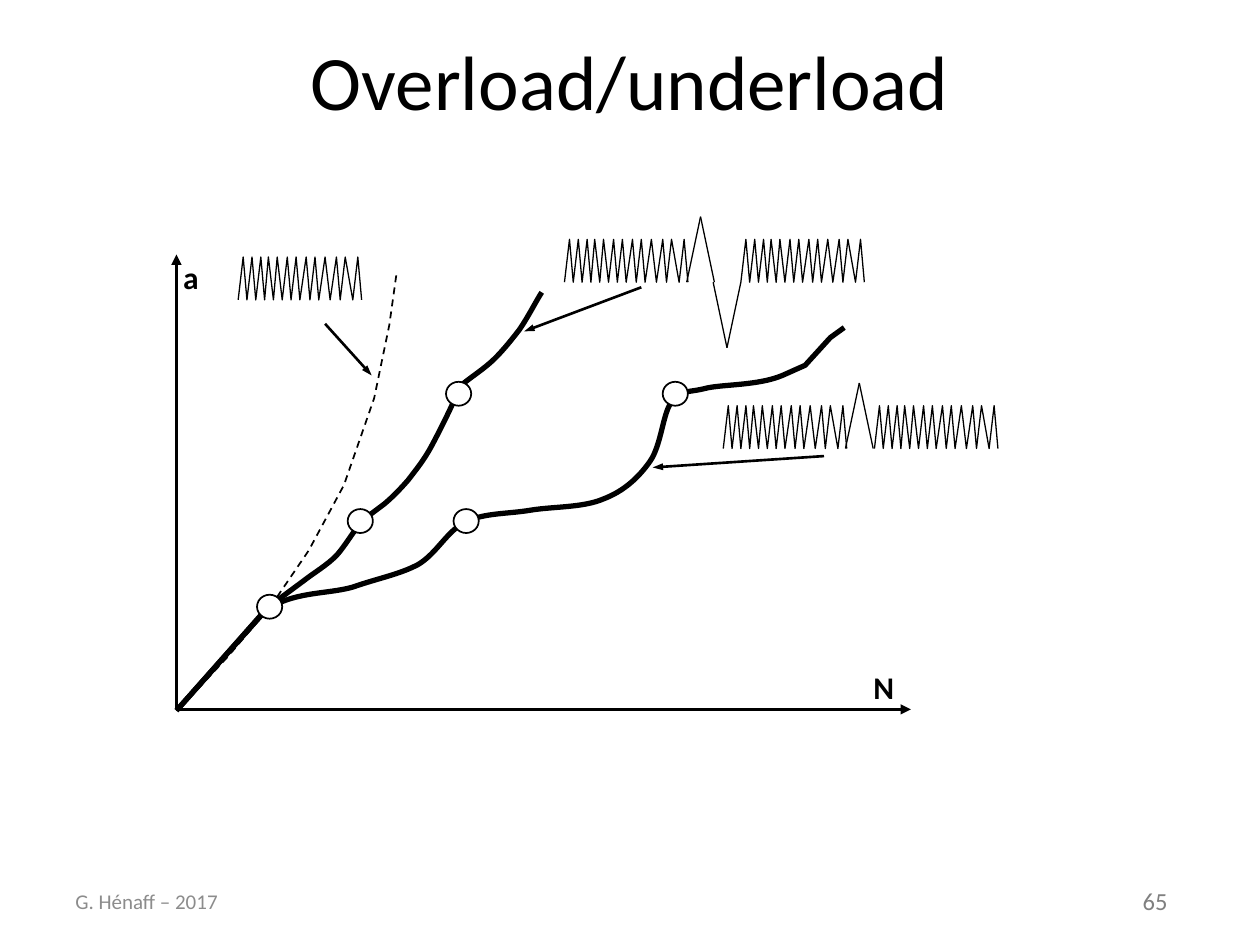
"""Build the slide comparing crack growth after overloads and underloads."""
from dataclasses import dataclass

from lxml.etree import SubElement
from pptx import Presentation
from pptx.dml.color import RGBColor
from pptx.enum.dml import MSO_LINE
from pptx.enum.shapes import MSO_CONNECTOR, MSO_SHAPE
from pptx.enum.text import MSO_ANCHOR, PP_ALIGN
from pptx.oxml.ns import qn
from pptx.util import Inches, Pt


@dataclass(frozen=True)
class Theme:
    font: str = "Calibri"
    ink: str = "000000"
    paper: str = "FFFFFF"
    footer: str = "8C8C8C"
    number: str = "808080"
    title_size: float = 44
    label_size: float = 18
    number_size: float = 14
    footer_size: float = 12
    curve_width: float = 3
    axis_width: float = 1.5
    mark_width: float = 1
    wave_width: float = 0.75
    columns: float = 10
    rows: float = 7.5


THEME = Theme()
ORIGIN = (1.4, 5.63)
MARK_SIZE = (0.2, 0.19)
WAVE_HEIGHT, SPIKE_HEIGHT, SPIKE_HALF = 0.34, 0.52, 0.11
WAVE_STEPS = (0, .04, .07, .11, .14, .18, .21, .24, .28, .31, .35, .39, .42, .46,
              .49, .54, .57, .61, .64, .69, .73, .78, .81, .85, .91, .95, .98)

OVERLOAD = ("LCCCCCCCCC", [
    (1.41, 5.63), (2.1, 4.85), (2.33, 4.69), (2.59, 4.72), (2.8, 4.66),
    (3, 4.59), (3.17, 4.56), (3.32, 4.48), (3.47, 4.39), (3.55, 4.21), (3.7, 4.14),
    (3.85, 4.07), (4.03, 4.08), (4.21, 4.05), (4.39, 4.02), (4.63, 4.03), (4.79, 3.96),
    (4.95, 3.9), (5.07, 3.79), (5.16, 3.66), (5.25, 3.53), (5.26, 3.28), (5.33, 3.19),
    (5.4, 3.09), (5.46, 3.12), (5.61, 3.08), (5.75, 3.05), (6.02, 3.06), (6.21, 2.98),
    (6.39, 2.9), (6.59, 2.68), (6.7, 2.6)])
UNDERLOAD = ("LLCCLCCCLCCC", [
    (1.4, 5.64), (2.14, 4.81), (2.41, 4.61), (2.5, 4.54), (2.59, 4.49), (2.67, 4.41),
    (2.75, 4.32), (2.82, 4.19), (2.89, 4.12), (3.05, 4), (3.11, 3.95), (3.17, 3.89),
    (3.24, 3.81), (3.3, 3.73), (3.36, 3.66), (3.42, 3.55), (3.48, 3.44), (3.59, 3.22),
    (3.62, 3.14), (3.66, 3.06), (3.7, 3.02), (3.81, 2.95), (3.89, 2.88), (3.97, 2.81),
    (4.05, 2.71), (4.12, 2.62), (4.19, 2.52), (4.26, 2.38), (4.3, 2.32)])
CONSTANT = ("LLLLLLL", [
    (1.44, 5.61), (1.81, 5.21), (2.15, 4.81), (2.45, 4.37), (2.73, 3.85),
    (2.97, 3.16), (3.09, 2.58), (3.15, 2.15)])
MARKS = [(2.04, 4.72), (2.76, 4.04), (3.54, 3.03), (3.6, 4.04), (5.26, 3.03)]
AXES = [(ORIGIN, (1.4, 2.02)), (ORIGIN, (7.23, 5.63))]
POINTERS = [((5.09, 2.28), (4.16, 2.63)), ((6.54, 3.62), (5.18, 3.71)),
            ((2.58, 2.57), (2.95, 2.98))]


class Sketch:
    """Hold the theme and current page, and draw on a grid of columns and rows."""

    def __init__(self, deck, theme):
        self.theme = theme
        self.width, self.height = deck.slide_width, deck.slide_height
        self.page = deck.slides.add_slide(deck.slide_layouts[6])
        self.shapes = self.page.shapes

    def place(self, column, row):
        """Turn a grid position into slide lengths."""
        return (round(self.width * column / self.theme.columns),
                round(self.height * row / self.theme.rows))

    def stroke(self, line, width):
        """Give a line the ink colour and a width."""
        line.color.rgb = RGBColor.from_string(self.theme.ink)
        line.width = Pt(width)

    def text(self, words, at, span, size, color, align=PP_ALIGN.LEFT,
             anchor=MSO_ANCHOR.MIDDLE, wrap=True, bold=False):
        """Write one line of text in a box."""
        frame = self.shapes.add_textbox(*self.place(*at), *self.place(*span)).text_frame
        para = frame.paragraphs[0]
        run = para.add_run()
        run.text = words
        formats = {
            frame: {"word_wrap": wrap, "vertical_anchor": anchor},
            para: {"alignment": align},
            run.font: {"name": self.theme.font, "size": Pt(size), "bold": bold},
        }
        for target, values in formats.items():
            for name, value in values.items():
                setattr(target, name, value)
        run.font.color.rgb = RGBColor.from_string(color)

    def line(self, start, end, width, arrow=None):
        """Draw a straight line, with an arrowhead of the given breadth at its end."""
        link = self.shapes.add_connector(
            MSO_CONNECTOR.STRAIGHT, *self.place(*start), *self.place(*end))
        self.stroke(link.line, width)
        if arrow:
            SubElement(link.line._get_or_add_ln(), qn("a:tailEnd"),
                       type="triangle", w=arrow, len="med")
        SubElement(link._element.spPr, qn("a:effectLst"))

    def curve(self, kinds, points, width, dash=None):
        """Draw an open outline whose kinds are L for a line and C for a Bézier."""
        start, *rest = [self.place(*point) for point in points]
        builder = self.shapes.build_freeform(*start, scale=1.0)
        builder.add_line_segments(rest, close=False)
        shape = builder.convert_to_shape()
        shape.shadow.inherit = False
        shape.fill.background()
        self.stroke(shape.line, width)
        shape.line.dash_style = dash
        steps = iter(list(shape._element.iter(qn("a:lnTo"))))
        for kind in kinds:
            step = next(steps)
            if kind == "C":
                step.addprevious(bezier := step.makeelement(qn("a:cubicBezTo")))
                for corner in (step, next(steps), next(steps)):
                    bezier.append(corner[0])
                    corner.getparent().remove(corner)

    def mark(self, at):
        """Draw an open circle at a load event."""
        circle = self.shapes.add_shape(
            MSO_SHAPE.OVAL, *self.place(*at), *self.place(*MARK_SIZE))
        circle.shadow.inherit = False
        circle.fill.solid()
        circle.fill.fore_color.rgb = RGBColor.from_string(self.theme.paper)
        self.stroke(circle.line, self.theme.mark_width)

    def wave(self, left, base):
        """Draw a zigzag of constant amplitude."""
        points = [(left + step, base - WAVE_HEIGHT * (index % 2))
                  for index, step in enumerate(WAVE_STEPS)]
        self.curve("L" * (len(points) - 1), points, self.theme.wave_width)

    def spike(self, left, base, rise):
        """Draw a single load peak, downwards when rise is negative."""
        tip = (left + SPIKE_HALF, base - rise)
        for foot in (left, left + 2 * SPIKE_HALF):
            self.line((foot, base), tip, self.theme.wave_width)

    def loading(self, base, waves, spikes):
        """Group the waves and spikes of one load history."""
        self.shapes = self.page.shapes.add_group_shape().shapes
        for left in waves:
            self.wave(left, base)
        for left, rise in spikes:
            self.spike(left, base, rise)
        self.shapes = self.page.shapes


def main():
    deck = Presentation()
    deck.slide_width, deck.slide_height = Inches(10), Inches(7.5)
    sketch = Sketch(deck, THEME)

    sketch.text("Overload/underload", (0.5, 0.01), (9, 1.25), THEME.title_size,
                THEME.ink, PP_ALIGN.CENTER)
    sketch.text("G. Hénaff – 2017", (0.5, 6.95), (2.33, 0.4), THEME.footer_size,
                THEME.footer)
    sketch.text("65", (8.97, 6.98), (0.53, 0.34), THEME.number_size, THEME.number,
                anchor=MSO_ANCHOR.TOP, wrap=False)
    for start, end in AXES:
        sketch.line(start, end, THEME.axis_width, "med")
    for name, at, span in (("a", (1.35, 2), (0.33, 0.4)), ("N", (6.83, 5.25), (0.37, 0.4))):
        sketch.text(name, at, span, THEME.label_size, THEME.ink, PP_ALIGN.CENTER,
                    MSO_ANCHOR.TOP, wrap=False, bold=True)

    sketch.curve(*CONSTANT, THEME.mark_width, MSO_LINE.DASH)
    for kinds, points in (OVERLOAD, UNDERLOAD):
        sketch.curve(kinds, points, THEME.curve_width)
    for at in MARKS:
        sketch.mark(at)

    sketch.wave(1.89, 2.38)
    sketch.loading(3.56, (5.74, 6.94), [(6.71, SPIKE_HEIGHT)])
    sketch.loading(2.24, (4.48, 5.88), [(5.45, SPIKE_HEIGHT), (5.66, -SPIKE_HEIGHT)])
    for start, end in POINTERS:
        sketch.line(start, end, THEME.axis_width, "sm")
    deck.save("out.pptx")


if __name__ == "__main__":
    main()
